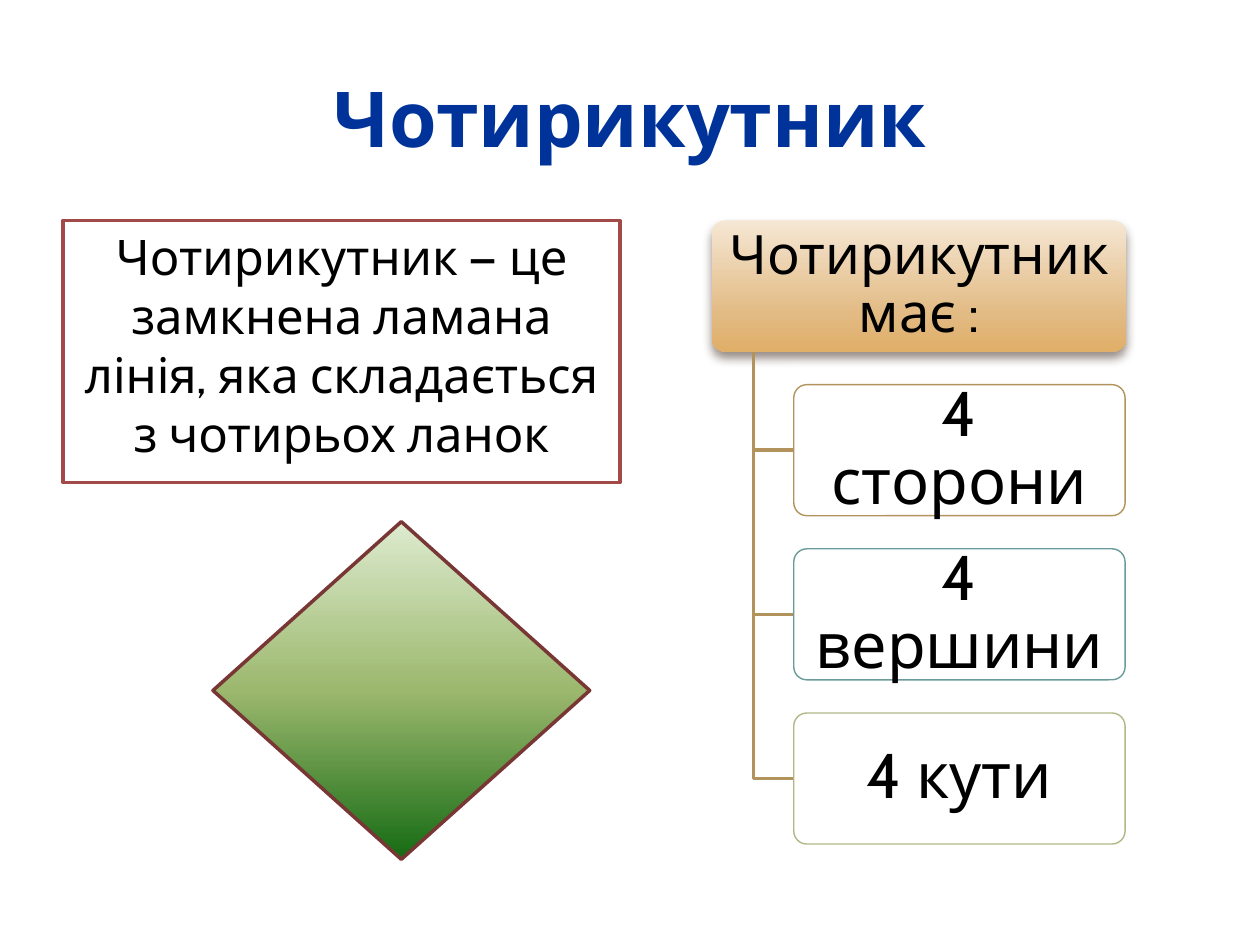
from lxml import etree
from pptx import Presentation, util as u
from pptx.dml.color import RGBColor
from pptx.enum import shapes, text
from pptx.oxml.ns import qn

Inches, Pt = u.Inches, u.Pt
KIND = shapes.MSO_SHAPE
HUE = {"title": "00339A", "text": "000000", "white": "FFFFFF", "frame": "A24A48",
       "tree": "B2935C", "teal": "6A9A9A", "olive": "B2B787",
       "edge": "783735", "shade": "4E3B30"}
SAND = [(0, "F5E7D4"), (72, "E2BA83"), (100, "E0AF68")]
GREEN = [(0, "DDEBCF"), (50, "9CB86E"), (100, "156B13")]

deck = Presentation()
deck.slide_width, deck.slide_height = Inches(10), Inches(7.5)
slide = deck.slides.add_slide(deck.slide_layouts[6])


def paint(shape, fill=None, line=None, width=2):
    """Give a shape a plain colour or a top-down gradient, and its outline."""
    shape.shadow.inherit = False
    if isinstance(fill, list):
        shape.fill.gradient()
        shape.fill.gradient_angle = 270
        stops = shape._element.spPr.find(".//" + qn("a:gsLst"))
        stops.clear()
        for pos, hue in fill:
            stop = etree.SubElement(stops, qn("a:gs"), pos=str(pos * 1000))
            etree.SubElement(stop, qn("a:srgbClr"), val=hue)
    elif fill:
        shape.fill.solid()
        shape.fill.fore_color.rgb = RGBColor.from_string(fill)
    else:
        shape.fill.background()
    if line:
        shape.line.color.rgb = RGBColor.from_string(line)
        shape.line.width = Pt(width)
    else:
        shape.line.fill.background()


def write(shape, words, size, hue="text", bold=False, pad=(0.1, 0.05),
          anchor=text.MSO_ANCHOR.MIDDLE, gap=1.0):
    """Put one centred paragraph in a shape."""
    frame = shape.text_frame
    side, top = (Inches(p) for p in pad)
    form = {"word_wrap": True, "vertical_anchor": anchor, "margin_left": side,
            "margin_right": side, "margin_top": top, "margin_bottom": top}
    for key, val in form.items():
        setattr(frame, key, val)
    para = frame.paragraphs[0]
    para.alignment, para.line_spacing = text.PP_ALIGN.CENTER, gap
    run = para.add_run()
    run.text = words
    for key, val in {"name": "Cabin", "size": Pt(size), "bold": bold}.items():
        setattr(run.font, key, val)
    run.font.color.rgb = RGBColor.from_string(HUE[hue])


# Title
title = slide.shapes.add_textbox(Inches(0.5), Inches(0.3), Inches(9), Inches(1.25))
write(title, "Чотирикутник", 44, "title", True)

# Definition
rule = slide.shapes.add_shape(KIND.RECTANGLE, Inches(0.5), Inches(1.75),
                              Inches(4.42), Inches(2.08))
paint(rule, HUE["white"], HUE["frame"])
write(rule, "Чотирикутник — це замкнена ламана лінія, яка складається з чотирьох ланок",
      28, anchor=text.MSO_ANCHOR.TOP)

# Head of the tree, with its soft shadow
top, tall, step = 1.75, 1.04, 1.303
head = slide.shapes.add_shape(KIND.ROUNDED_RECTANGLE, Inches(5.65), Inches(top),
                              Inches(3.29), Inches(tall))
head.adjustments[0] = 0.1
paint(head, SAND)
glow = etree.SubElement(head._element.spPr.find(qn("a:effectLst")), qn("a:outerShdw"),
                        blurRad=str(Pt(6)), dist=str(Pt(4)), dir="5400000",
                        rotWithShape="0")
tint = etree.SubElement(glow, qn("a:srgbClr"), val=HUE["shade"])
etree.SubElement(tint, qn("a:alpha"), val="60000")
write(head, "Чотирикутник має :", 31, pad=(0.09, 0.07), gap=0.9)

# Branches: an elbow line and a box for each property
trunk, left = 5.98, 6.3
parts = [("4 сторони", "tree"), ("4 вершини", "teal"), ("4 кути", "olive")]
for row, (words, hue) in enumerate(parts, 1):
    y = top + row * step
    mid = y + tall / 2
    pen = slide.shapes.build_freeform(Inches(trunk), Inches(top + tall))
    pen.add_line_segments([(Inches(trunk), Inches(mid)), (Inches(left), Inches(mid))],
                          close=False)
    paint(pen.convert_to_shape(), line=HUE["tree"])
    box = slide.shapes.add_shape(KIND.ROUNDED_RECTANGLE, Inches(left), Inches(y),
                                 Inches(2.63), Inches(tall))
    box.adjustments[0] = 0.1
    paint(box, HUE["white"], HUE[hue], 0.79)
    tint = box._element.spPr.find(qn("a:solidFill"))[0]
    etree.SubElement(tint, qn("a:alpha"), val="90000")
    write(box, words, 36, pad=(0.1, 0.08), gap=0.9)

# Sample quadrilateral
gem = slide.shapes.add_shape(KIND.DIAMOND, Inches(1.69), Inches(4.14),
                             Inches(2.99), Inches(2.68))
paint(gem, GREEN, HUE["edge"])

deck.save("out.pptx")
